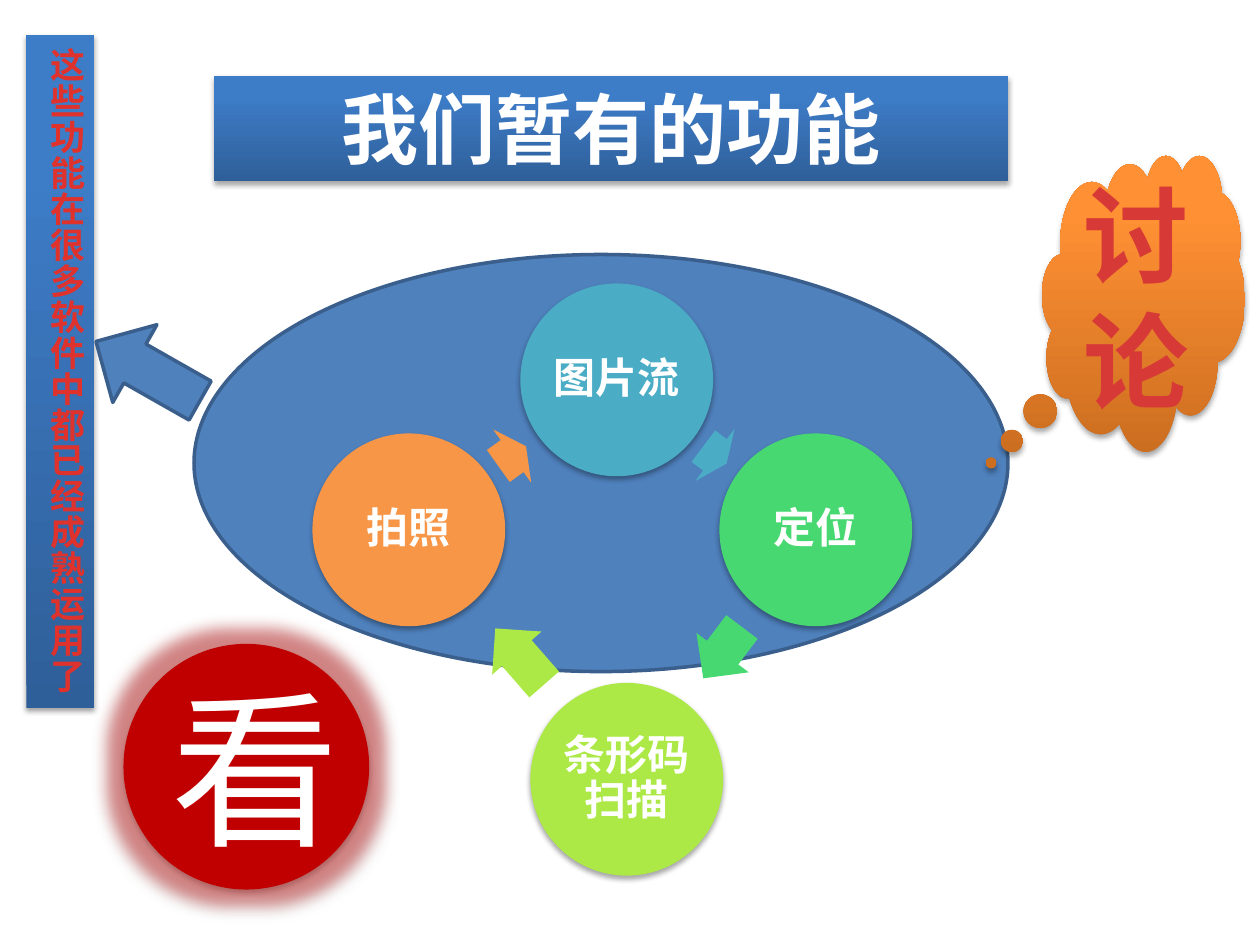
from lxml.etree import SubElement
from pptx import Presentation
from pptx.dml.color import RGBColor
from pptx.enum.shapes import MSO_SHAPE
from pptx.enum.text import MSO_ANCHOR, MSO_AUTO_SIZE, PP_ALIGN
from pptx.oxml.ns import qn
from pptx.util import Inches, Pt

WHITE = RGBColor(0xFF, 0xFF, 0xFF)
BLUE = RGBColor(0x4F, 0x81, 0xBD)
BLUE_EDGE = RGBColor(0x3A, 0x5F, 0x8C)
TEAL = RGBColor(0x4B, 0xAC, 0xC6)
GREEN = RGBColor(0x47, 0xD8, 0x72)
LIME = RGBColor(0xAC, 0xE9, 0x46)
ORANGE = RGBColor(0xF7, 0x96, 0x46)
DARK_RED = RGBColor(0xC0, 0x00, 0x00)
CLOUD_RED = RGBColor(0xD7, 0x3A, 0x36)
BANNER_RED = RGBColor(0xE0, 0x32, 0x2D)
BLUE_SHADE = (RGBColor(0x2F, 0x5F, 0x99), RGBColor(0x3D, 0x7C, 0xC7))
ORANGE_SHADE = (RGBColor(0xCC, 0x6E, 0x20), RGBColor(0xFF, 0x90, 0x34))


def add_effect(shape, kind, color, opacity, **attributes):
    effects = shape._element.spPr.find(qn("a:effectLst"))
    effect = SubElement(effects, qn(f"a:{kind}"),
                        {name: str(value) for name, value in attributes.items()})
    tint = SubElement(effect, qn("a:srgbClr"), val=str(color))
    SubElement(tint, qn("a:alpha"), val=str(opacity * 1000))


def add_shadow(shape):
    add_effect(shape, "outerShdw", RGBColor(0, 0, 0), 35, blurRad=Pt(3.1),
               dist=Pt(1.8), dir=90 * 60000, rotWithShape=0)


def write(shape, text, size, color=WHITE, font="Calibri", bold=True,
          align=PP_ALIGN.CENTER, anchor=MSO_ANCHOR.MIDDLE, inset=None, line_spacing=None):
    frame = shape.text_frame
    frame.word_wrap = True
    frame.auto_size = MSO_AUTO_SIZE.NONE
    frame.vertical_anchor = anchor
    if inset is not None:
        frame.margin_left = frame.margin_right = inset
        frame.margin_top = frame.margin_bottom = inset
    para = frame.paragraphs[0]
    para.alignment = align
    if line_spacing:
        para.line_spacing = line_spacing
    span = para.add_run()
    span.text = text
    span.font.name = font
    span.font.size = Pt(size)
    span.font.bold = bold
    span.font.color.rgb = color
    return span


class SlideBuilder:
    def __init__(self, page):
        self.page = page

    def paint(self, shape, fill, edge=None, shadow=False):
        """Fill with one colour, or with a (bottom, top) pair as a gradient."""
        if isinstance(fill, RGBColor):
            shape.fill.solid()
            shape.fill.fore_color.rgb = fill
        else:
            shape.fill.gradient()
            shape.fill.gradient_angle = 90
            for stop, color, position in zip(shape.fill.gradient_stops, fill, (0, 0.8)):
                stop.color.rgb = color
                stop.position = position
        if edge is None:
            shape.line.fill.background()
        else:
            shape.line.color.rgb = edge
            shape.line.width = Pt(2)
        # The effect list has to follow the line in the shape properties.
        SubElement(shape._element.spPr, qn("a:effectLst"))
        if shadow:
            add_shadow(shape)

    def shape(self, kind, left, top, width, height, fill, edge=None,
              shadow=False, rotation=0, adjustments=()):
        shape = self.page.shapes.add_shape(
            kind, Inches(left), Inches(top), Inches(width), Inches(height))
        shape.rotation = rotation
        for index, value in enumerate(adjustments):
            shape.adjustments[index] = value
        self.paint(shape, fill, edge, shadow)
        return shape

    def title(self, text, left, top, width, height):
        title = self.page.shapes.title
        title.left, title.top = Inches(left), Inches(top)
        title.width, title.height = Inches(width), Inches(height)
        self.paint(title, BLUE_SHADE, shadow=True)
        write(title, text, 44, anchor=MSO_ANCHOR.TOP)

    def feature(self, text, left, top, color):
        circle = self.shape(MSO_SHAPE.OVAL, left, top, 1.53, 1.53, color, shadow=True)
        write(circle, text, 24, inset=Inches(0.03), line_spacing=0.9)

    def cycle_arrow(self, left, top, width, rotation, color):
        self.shape(MSO_SHAPE.RIGHT_ARROW, left, top, width, 0.52, color,
                   rotation=rotation, adjustments=(0.6, 0.5))

    def vertical_banner(self, text, left, top, width, height):
        banner = self.shape(MSO_SHAPE.RECTANGLE, left, top, width, height,
                            BLUE_SHADE, shadow=True)
        span = write(banner, text, 20, BANNER_RED, align=PP_ALIGN.LEFT,
                     anchor=MSO_ANCHOR.TOP)
        span._r.get_or_add_rPr().set("spc", "50")
        banner.text_frame._txBody.bodyPr.set("vert", "eaVert")

    def cloud(self, text, left, top, width, height):
        cloud = self.shape(MSO_SHAPE.CLOUD_CALLOUT, left, top, width, height,
                           ORANGE_SHADE, shadow=True, adjustments=(-0.751, 0.54))
        write(cloud, text, 60, CLOUD_RED)

    def glowing_circle(self, text, left, top, size):
        circle = self.shape(MSO_SHAPE.OVAL, left, top, size, size, DARK_RED)
        add_effect(circle, "glow", DARK_RED, 40, rad=Pt(18))
        add_shadow(circle)
        write(circle, text, 96, font="Arial", bold=False)


def main():
    deck = Presentation()
    deck.slide_width, deck.slide_height = Inches(10), Inches(7.5)
    builder = SlideBuilder(deck.slides.add_slide(deck.slide_layouts[5]))

    builder.title("我们暂有的功能", 1.7, 0.6, 6.3, 0.84)
    builder.shape(MSO_SHAPE.OVAL, 1.54, 2.02, 6.46, 3.31, BLUE, BLUE_EDGE)

    # Each feature circle is followed by the arrow that leads to the next one.
    cycle = [
        ("图片流", (4.13, 2.25), TEAL, (5.56, 3.35, 0.23, 36.9)),
        ("定位", (5.71, 3.44), GREEN, (5.48, 4.92, 0.51, 127)),
        ("条形码扫描", (4.21, 5.42), LIME, (3.83, 4.95, 0.59, 228.9)),
        ("拍照", (2.48, 3.44), ORANGE, (3.93, 3.36, 0.27, 324.5)),
    ]
    for text, corner, color, arrow in cycle:
        builder.feature(text, *corner, color)
        builder.cycle_arrow(*arrow, color)

    builder.cloud("讨论", 8.27, 1.23, 1.61, 2.35)
    builder.vertical_banner("这些功能在很多软件中都已经成熟运用了", 0.21, 0.28, 0.54, 5.34)
    builder.shape(MSO_SHAPE.LEFT_ARROW, 0.7, 2.59, 0.95, 0.71, BLUE, BLUE_EDGE,
                  rotation=29.6)
    builder.glowing_circle("看", 0.98, 5.11, 1.95)

    deck.save("out.pptx")


if __name__ == "__main__":
    main()
